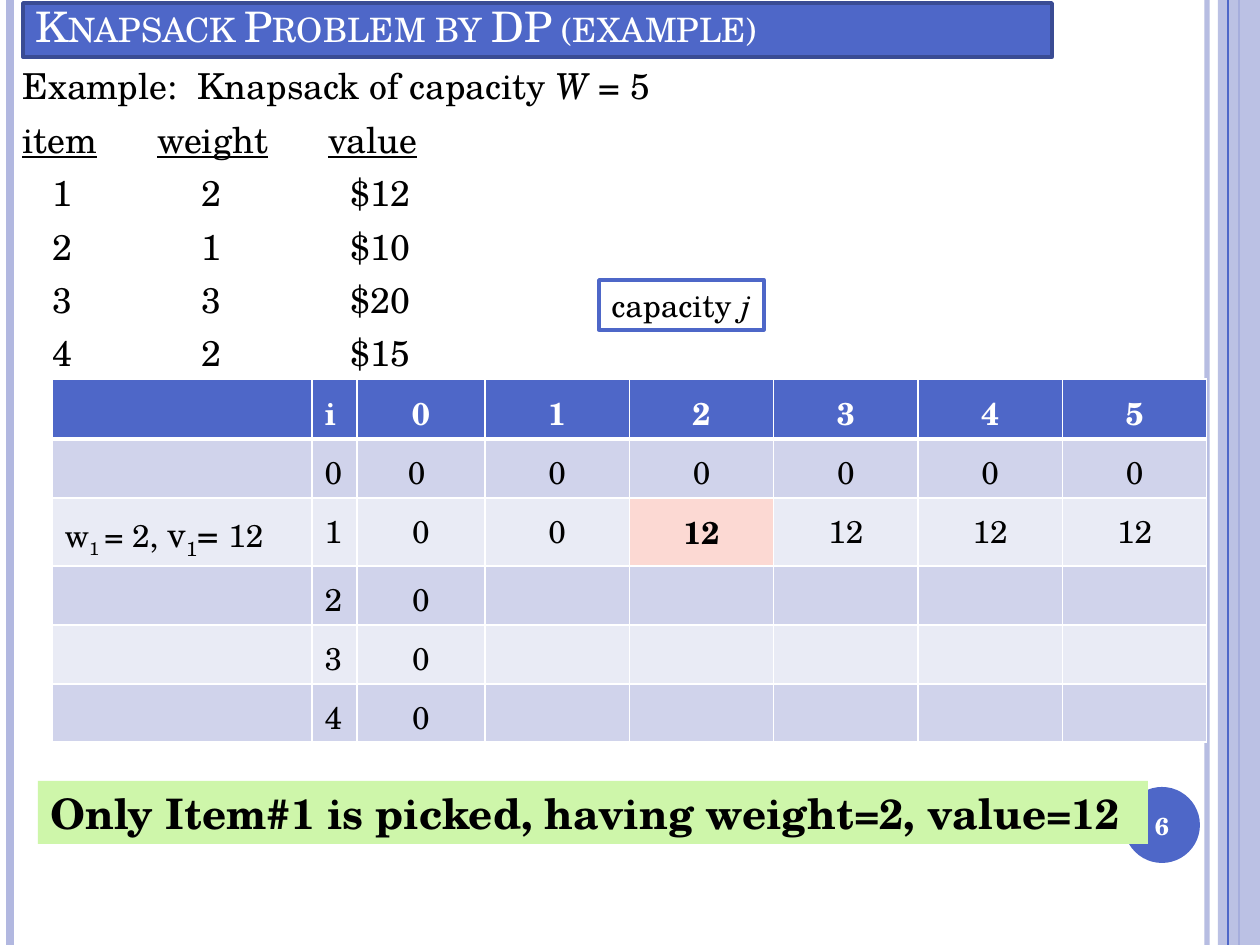
from pptx import Presentation
from pptx.dml.color import RGBColor
from pptx.enum.shapes import MSO_CONNECTOR, MSO_SHAPE
from pptx.enum.text import MSO_ANCHOR, PP_ALIGN
from pptx.oxml.ns import qn
from pptx.util import Pt
from lxml import etree

RECTANGLE, OVAL = MSO_SHAPE.RECTANGLE, MSO_SHAPE.OVAL
STRAIGHT = MSO_CONNECTOR.STRAIGHT
LEFT, CENTER = PP_ALIGN.LEFT, PP_ALIGN.CENTER
TOP, MIDDLE, BOTTOM = MSO_ANCHOR.TOP, MSO_ANCHOR.MIDDLE, MSO_ANCHOR.BOTTOM

BLUE = RGBColor(0x4E, 0x67, 0xC8)
DARK_BLUE = RGBColor(0x3A, 0x4C, 0x94)
PALE_BLUE = RGBColor(0xB2, 0xB8, 0xE0)
BAND_DARK = RGBColor(0xD0, 0xD3, 0xEB)
BAND_LIGHT = RGBColor(0xE9, 0xEB, 0xF5)
PINK = RGBColor(0xFC, 0xD9, 0xD3)
GREEN = RGBColor(0xCE, 0xF6, 0xAA)
WHITE = RGBColor(0xFF, 0xFF, 0xFF)
BLACK = RGBColor(0x00, 0x00, 0x00)

FONT = "TeX Gyre Schola"
PX_PER_INCH = 126
WIDTH, HEIGHT = 1260, 945


def px(length):
    return round(length * 914400 / PX_PER_INCH)


def add_text(para, text, size=18, color=BLACK, bold=False, italic=False,
             underline=False, subscript=False, small_caps=False):
    span = para.add_run()
    span.text = text
    font = span.font
    font.name, font.size, font.color.rgb = FONT, Pt(size), color
    font.bold, font.italic, font.underline = bold, italic, underline
    properties = font._element
    if subscript:
        properties.set("baseline", "-25000")
    if small_caps:
        properties.set("cap", "small")


def set_alpha(element, percent):
    for color in element.iter(qn("a:srgbClr")):
        etree.SubElement(color, qn("a:alpha")).set("val", str(percent * 1000))


def set_tabs(para, stops):
    """Give a paragraph left tab stops, measured in px from the text edge."""
    tab_list = etree.SubElement(para._p.get_or_add_pPr(), qn("a:tabLst"))
    for stop in stops:
        tab = etree.SubElement(tab_list, qn("a:tab"))
        tab.set("pos", str(px(stop)))
        tab.set("algn", "l")


def set_borders(cell, bottom):
    properties = cell._tc.get_or_add_tcPr()
    for side, width in (("L", 1), ("R", 1), ("T", 1), ("B", bottom)):
        line = etree.SubElement(properties, qn(f"a:ln{side}"))
        line.set("w", str(Pt(width)))
        fill = etree.SubElement(line, qn("a:solidFill"))
        etree.SubElement(fill, qn("a:srgbClr")).set("val", str(WHITE))


class SlideBuilder:
    def __init__(self, deck):
        self.slide = deck.slides.add_slide(deck.slide_layouts[6])

    def rule(self, x, color, width, alpha=100):
        line = self.slide.shapes.add_connector(
            STRAIGHT, px(x), 0, px(x), px(HEIGHT))
        line.line.color.rgb, line.line.width = color, Pt(width)
        if alpha < 100:
            set_alpha(line._element, alpha)
        etree.SubElement(line._element.spPr, qn("a:effectLst"))

    def shape(self, kind, left, top, width, height, fill, line=None, alpha=100,
              anchor=TOP, wrap=True):
        shape = self.slide.shapes.add_shape(
            kind, px(left), px(top), px(width), px(height))
        shape.shadow.inherit = False
        shape.fill.solid()
        shape.fill.fore_color.rgb = fill
        if alpha < 100:
            set_alpha(shape._element.spPr, alpha)
        if line is None:
            shape.line.fill.background()
        else:
            shape.line.color.rgb, shape.line.width = line, Pt(2)
        shape.text_frame.vertical_anchor = anchor
        shape.text_frame.word_wrap = wrap
        para = shape.text_frame.paragraphs[0]
        para.alignment = LEFT
        return para

    def text_box(self, left, top, width, height, anchor=TOP):
        box = self.slide.shapes.add_textbox(
            px(left), px(top), px(width), px(height))
        box.text_frame.word_wrap = True
        box.text_frame.vertical_anchor = anchor
        return box.text_frame

    def table(self, left, top, widths, heights):
        frame = self.slide.shapes.add_table(
            len(heights), len(widths), px(left), px(top),
            px(sum(widths)), px(sum(heights)))
        for column, width in zip(frame.table.columns, widths):
            column.width = px(width)
        for row, height in zip(frame.table.rows, heights):
            row.height = px(height)
        return frame.table

    def cell(self, cell, fill, align, bottom_border=1):
        set_borders(cell, bottom_border)
        cell.fill.solid()
        cell.fill.fore_color.rgb = fill
        cell.margin_top = px(10)
        para = cell.text_frame.paragraphs[0]
        para.alignment = align
        return para


def add_side_rules(builder):
    builder.rule(1207, PALE_BLUE, 3, alpha=93)
    builder.rule(10, PALE_BLUE, 4.5)
    builder.rule(1239, BLUE, 1.5)
    builder.shape(RECTANGLE, 1218, 0, 42, HEIGHT, PALE_BLUE, alpha=87)
    builder.rule(1228, BLUE, 0.75)
    builder.shape(OVAL, 1124, 787, 76, 76, BLUE)


def add_items(builder):
    items = [(1, 2, 12), (2, 1, 10), (3, 3, 20), (4, 2, 15)]
    frame = builder.text_box(10, 58, 935, 284)
    size = 20.4
    para = frame.paragraphs[0]
    add_text(para, "Example:\u2002Knapsack of capacity ".replace("\u2002", "  "), size)
    add_text(para, "W ", size, italic=True)
    add_text(para, "= 5", size)
    lines = [("item\tweight\tvalue\t", (135, 306, 523), True)]
    lines += [(f"\t{item}\t{weight}\t${value}", (30, 179, 328), False)
              for item, weight, value in items]
    for text, stops, underline in lines:
        para = frame.add_paragraph()
        para.space_before = Pt(6)
        set_tabs(para, stops)
        add_text(para, text, size, underline=underline)


def add_value_table(builder):
    rows = [
        ["", "i", "0", "1", "2", "3", "4", "5"],
        ["", "0", "0 ", "0", "0", "0", "0", "0"],
        ["", "1", "0", "0", "12", "12", "12", "12"],
    ] + [["", str(item), "0"] + [""] * 5 for item in (2, 3, 4)]
    picked = (2, 4)
    table = builder.table(52, 379, [260, 45, 128] + [144.4] * 5,
                          [60, 59, 68, 59, 59, 58])
    for r, row in enumerate(rows):
        header = r == 0
        band = BLUE if header else BAND_DARK if r % 2 else BAND_LIGHT
        for c, text in enumerate(row):
            para = builder.cell(
                table.cell(r, c), PINK if (r, c) == picked else band,
                LEFT if c < 2 else CENTER, 3 if header else 1)
            if text:
                add_text(para, text, color=WHITE if header else BLACK,
                         bold=header or (r, c) == picked)
    label = table.cell(2, 0).text_frame.paragraphs[0]
    for text, size, subscript in (
            ("w", 18, False), ("1 ", 18, True), ("= 2, ", 18, False),
            ("v", 20, False), ("1", 20, True), ("= ", 20, False),
            ("12", 18, False)):
        add_text(label, text, size, subscript=subscript)


def main():
    deck = Presentation()
    deck.slide_width, deck.slide_height = px(WIDTH), px(HEIGHT)
    builder = SlideBuilder(deck)
    add_side_rules(builder)
    title = builder.shape(RECTANGLE, 23, 3, 1029, 54, BLUE, DARK_BLUE,
                          anchor=BOTTOM)
    add_text(title, "Knapsack Problem by DP (example)", 24, WHITE,
             small_caps=True)
    add_items(builder)
    add_value_table(builder)
    capacity = builder.shape(RECTANGLE, 599, 280, 165, 50, WHITE, BLUE,
                             wrap=False)
    add_text(capacity, "capacity ")
    add_text(capacity, "j", italic=True)
    number = builder.text_box(1120, 790, 84, 72, MIDDLE).paragraphs[0]
    number.alignment = CENTER
    add_text(number, "6", 14, WHITE, bold=True)
    result = builder.shape(RECTANGLE, 38, 781, 1110, 63, GREEN, wrap=False)
    add_text(result, "Only Item#1 is picked, having weight=2, value=12", 24,
             bold=True)
    deck.save("out.pptx")


if __name__ == "__main__":
    main()
